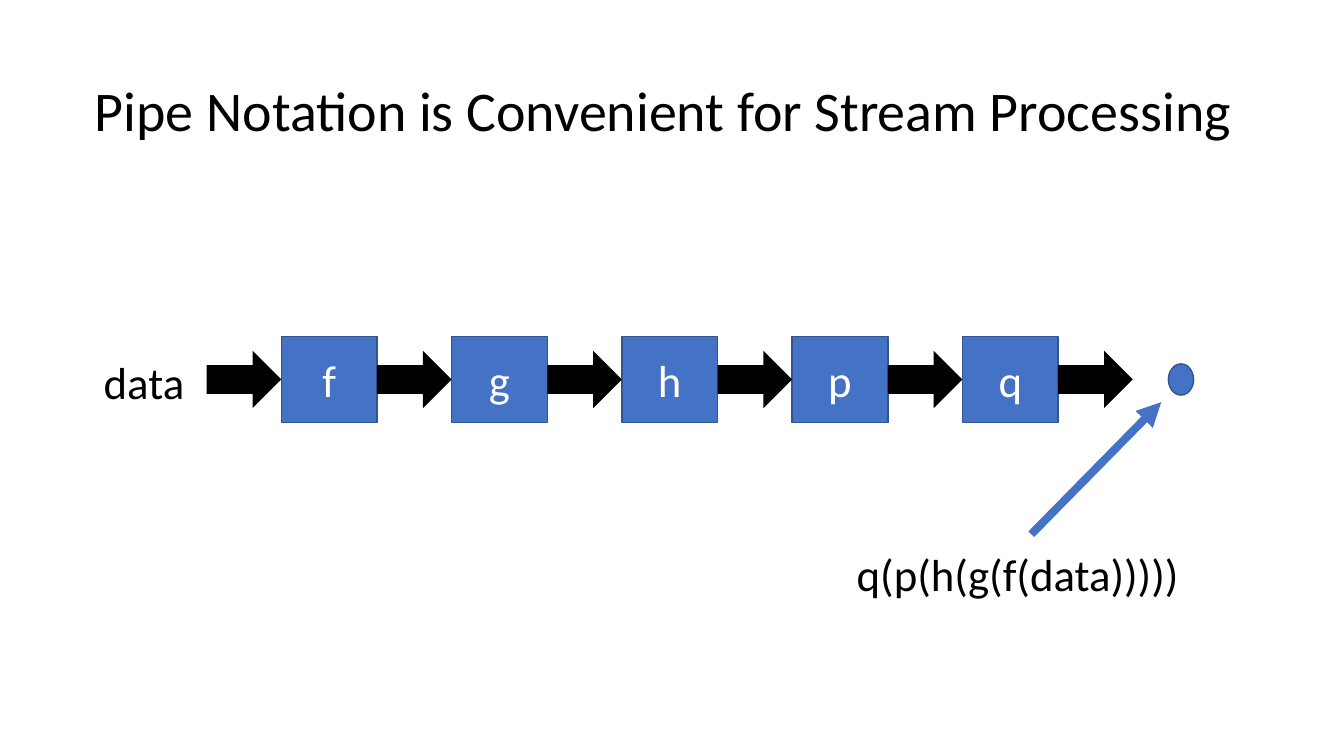
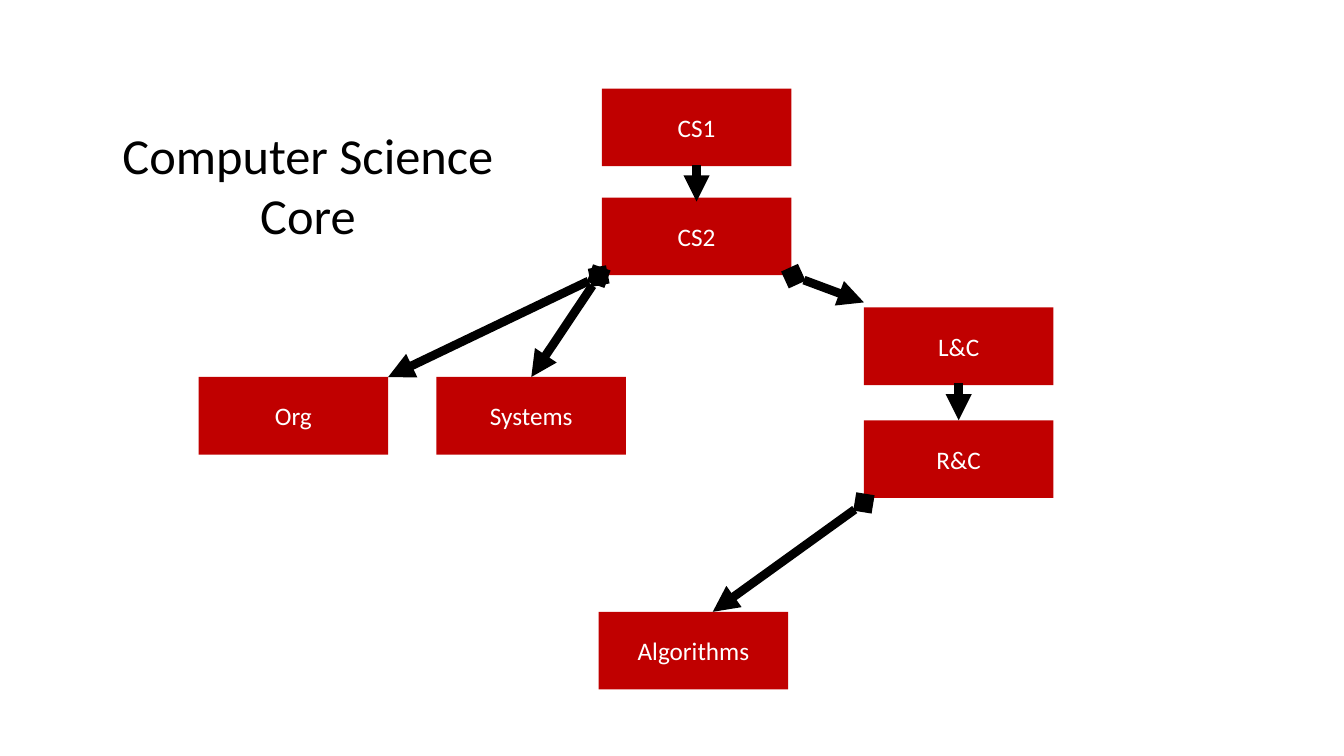
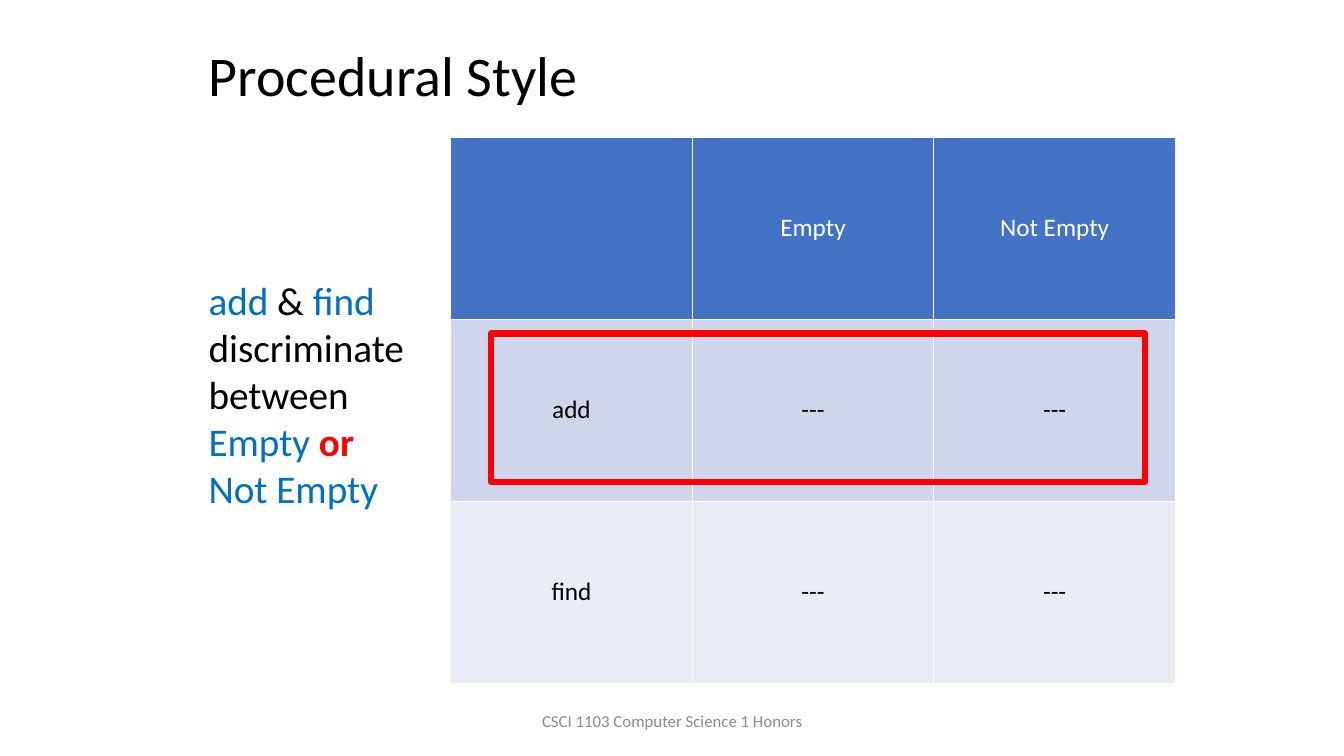
"""Build three computer science lecture slides."""
from lxml import etree
from pptx import Presentation
from pptx import util as u
from pptx.dml.color import RGBColor
from pptx.enum import shapes, text
from pptx.oxml.ns import qn

SLIDE_WIDTH, SLIDE_HEIGHT = u.Inches(13.33), u.Inches(7.5)
TITLE_ONLY = 5
FONT = "Calibri"
BLACK = RGBColor(0x00, 0x00, 0x00)
WHITE = RGBColor(0xFF, 0xFF, 0xFF)
BLUE = RGBColor(0x44, 0x72, 0xC4)
DARK_BLUE = RGBColor(0x32, 0x54, 0x91)
TEXT_BLUE = RGBColor(0x00, 0x70, 0xC0)
CRIMSON = RGBColor(0xC0, 0x00, 0x00)
RED = RGBColor(0xFF, 0x00, 0x00)
GRAY = RGBColor(0x8C, 0x8C, 0x8C)
ROW_FILLS = (BLUE, RGBColor(0xCF, 0xD5, 0xEA), RGBColor(0xE9, 0xEB, 0xF5))
LEFT, CENTER = text.PP_ALIGN.LEFT, text.PP_ALIGN.CENTER
TOP, MIDDLE = text.MSO_ANCHOR.TOP, text.MSO_ANCHOR.MIDDLE
RECTANGLE = shapes.MSO_SHAPE.RECTANGLE


def across(percent):
    """Convert a percentage of the slide width to a length."""
    return u.Emu(round(SLIDE_WIDTH * percent / 100))


def down(percent):
    """Convert a percentage of the slide height to a length."""
    return u.Emu(round(SLIDE_HEIGHT * percent / 100))


def area(left, top, width, height):
    """Convert a box in percentages to slide lengths."""
    return across(left), down(top), across(width), down(height)


def set_font(font, size, color, bold=False):
    """Give a font the deck's typeface with a size, colour and weight."""
    font.name, font.size, font.bold = FONT, u.Pt(size), bold
    font.color.rgb = color


def write(frame, words, size, color, align=LEFT, anchor=TOP, wrap=True):
    """Put one evenly formatted paragraph in a text frame."""
    frame.auto_size = text.MSO_AUTO_SIZE.NONE
    frame.word_wrap, frame.vertical_anchor = wrap, anchor
    paragraph = frame.paragraphs[0]
    paragraph.text, paragraph.alignment = words, align
    for part in (paragraph, *paragraph.runs):
        set_font(part.font, size, color)
    return paragraph


def add_titled_slide(presentation, words, box, size=40, **layout):
    """Add a slide whose title placeholder fills the given box."""
    slide = presentation.slides.add_slide(presentation.slide_layouts[TITLE_ONLY])
    title = slide.shapes.title
    title.left, title.top, title.width, title.height = area(*box)
    write(title.text_frame, words, size, BLACK, **layout)
    return slide


def add_label(slide, words, box, size, color=BLACK, **layout):
    """Add a text box with one paragraph."""
    frame = slide.shapes.add_textbox(*area(*box)).text_frame
    write(frame, words, size, color, **layout)


def add_block(slide, kind, box, fill=None, line=None, weight=1, words="", size=18):
    """Add a flat preset shape with optional fill, outline and white text."""
    shape = slide.shapes.add_shape(kind, *area(*box))
    shape.shadow.inherit = False
    if fill is None:
        shape.fill.background()
    else:
        shape.fill.solid()
        shape.fill.fore_color.rgb = fill
    if line is None:
        shape.line.fill.background()
    else:
        shape.line.color.rgb, shape.line.width = line, u.Pt(weight)
    if words:
        write(shape.text_frame, words, size, WHITE, CENTER, MIDDLE)


def add_arrow(slide, start, end, color, weight, head=None):
    """Draw a straight arrow between two points, with an optional start mark."""
    connector = slide.shapes.add_connector(
        shapes.MSO_CONNECTOR.STRAIGHT,
        across(start[0]), down(start[1]), across(end[0]), down(end[1]))
    connector.line.color.rgb, connector.line.width = color, u.Pt(weight)
    line = connector.line._get_or_add_ln()
    if head:
        etree.SubElement(line, qn("a:headEnd"), type=head)
    etree.SubElement(line, qn("a:tailEnd"), type="triangle")
    etree.SubElement(connector._element.spPr, qn("a:effectLst"))


def add_grid(slide, rows, box):
    """Add a table with equal columns and rows and one fill per row."""
    table = slide.shapes.add_table(len(rows), len(rows[0]), *area(*box)).table
    for row, (words_in_row, fill) in enumerate(zip(rows, ROW_FILLS)):
        for column, words in enumerate(words_in_row):
            cell = table.cell(row, column)
            cell.fill.solid()
            cell.fill.fore_color.rgb = fill
            cell.vertical_anchor = MIDDLE
            paragraph = cell.text_frame.paragraphs[0]
            paragraph.text, paragraph.alignment = words, CENTER
            for part in (paragraph, *paragraph.runs):
                set_font(part.font, 18, BLACK if row else WHITE)


def add_pipe_slide(presentation):
    """Show data flowing through a chain of functions."""
    slide = add_titled_slide(
        presentation, "Pipe Notation is Convenient for Stream Processing",
        (3.08, 5.33, 92.48, 19.33), align=CENTER, anchor=MIDDLE)
    slide.shapes.title.text_frame.paragraphs[0].line_spacing = 0.9
    middle, start = 50.2, 15.38
    box_width, box_height, arrow_width, arrow_height = 7.12, 11.33, 5.55, 7.6
    pitch = box_width + arrow_width
    functions = "fghpq"
    for index, name in enumerate(functions):
        left = start + arrow_width + index * pitch
        add_block(slide, RECTANGLE,
                  (left, middle - box_height / 2, box_width, box_height),
                  BLUE, DARK_BLUE, words=name, size=32)
    for index in range(len(functions) + 1):
        add_block(slide, shapes.MSO_SHAPE.RIGHT_ARROW,
                  (start + index * pitch, middle - arrow_height / 2,
                   arrow_width, arrow_height), BLACK)
    add_label(slide, "data", (6.98, 46.27, 7.58, 8.53), 32, wrap=False)
    add_block(slide, shapes.MSO_SHAPE.OVAL, (86.93, 48.13, 1.88, 4.13), BLUE, DARK_BLUE)
    add_label(slide, "q(p(h(g(f(data)))))", (63, 71.6, 25.8, 8.53), 32, wrap=False)
    add_arrow(slide, (76.73, 70.67), (86.4, 53.2), BLUE, 5.75)


def add_core_slide(presentation):
    """Show the courses of the core and their prerequisites."""
    slide = add_titled_slide(presentation, "Computer Science Core",
                             (8.1, 15.73, 29.63, 17.47), 36, align=CENTER)
    courses = {
        "CS1": (44.78, 11.73), "CS2": (44.78, 26.13),
        "L&C": (64.28, 40.67), "R&C": (64.28, 55.6),
        "Systems": (32.48, 49.87), "Org": (14.78, 49.87),
        "Algorithms": (44.55, 80.93),
    }
    branches = (
        ((64.28, 66.53), (53.03, 80.93)), ((59.03, 36.53), (64.28, 40)),
        ((44.55, 36.53), (28.88, 49.87)), ((44.55, 36.53), (39.53, 49.87)),
    )
    steps = (((51.83, 21.87), (51.83, 26.67)), ((71.33, 50.67), (71.33, 55.6)))
    for name, (left, top) in courses.items():
        add_block(slide, RECTANGLE, (left, top, 14.1, 10.27), CRIMSON, words=name)
    for head, arrows in (("diamond", branches), (None, steps)):
        for start, end in arrows:
            add_arrow(slide, start, end, BLACK, 6.25, head)


def add_style_slide(presentation):
    """Show the table of operations and cases with one row marked."""
    slide = add_titled_slide(presentation, "Procedural Style",
                             (14.78, 4.67, 29.18, 10.27), wrap=False)
    add_label(slide, "CSCI 1103 Computer Science 1 Honors",
              (33.15, 92.67, 33.75, 5.33), 12, GRAY, align=CENTER, anchor=MIDDLE)
    add_grid(slide, (("", "Empty", "Not Empty"), ("add", "---", "---"),
                     ("find", "---", "---")), (33.53, 18.13, 53.93, 72.27))
    frame = slide.shapes.add_textbox(*area(14.78, 35.87, 16.28, 32.8)).text_frame
    frame.word_wrap = True
    for words, color in (("add", TEXT_BLUE), (" & ", BLACK), ("find", TEXT_BLUE),
                         (" discriminate between ", BLACK), ("Empty ", TEXT_BLUE),
                         ("or ", RED), ("Not Empty", TEXT_BLUE)):
        run = frame.paragraphs[0].add_run()
        run.text = words
        set_font(run.font, 28, color, bold=color == RED)
    add_block(slide, RECTANGLE, (36.53, 44.13, 48.68, 19.6), line=RED, weight=4.5)


def main():
    """Build and save the presentation."""
    presentation = Presentation()
    presentation.slide_width, presentation.slide_height = SLIDE_WIDTH, SLIDE_HEIGHT
    add_pipe_slide(presentation)
    add_core_slide(presentation)
    add_style_slide(presentation)
    presentation.save("out.pptx")


if __name__ == "__main__":
    main()
